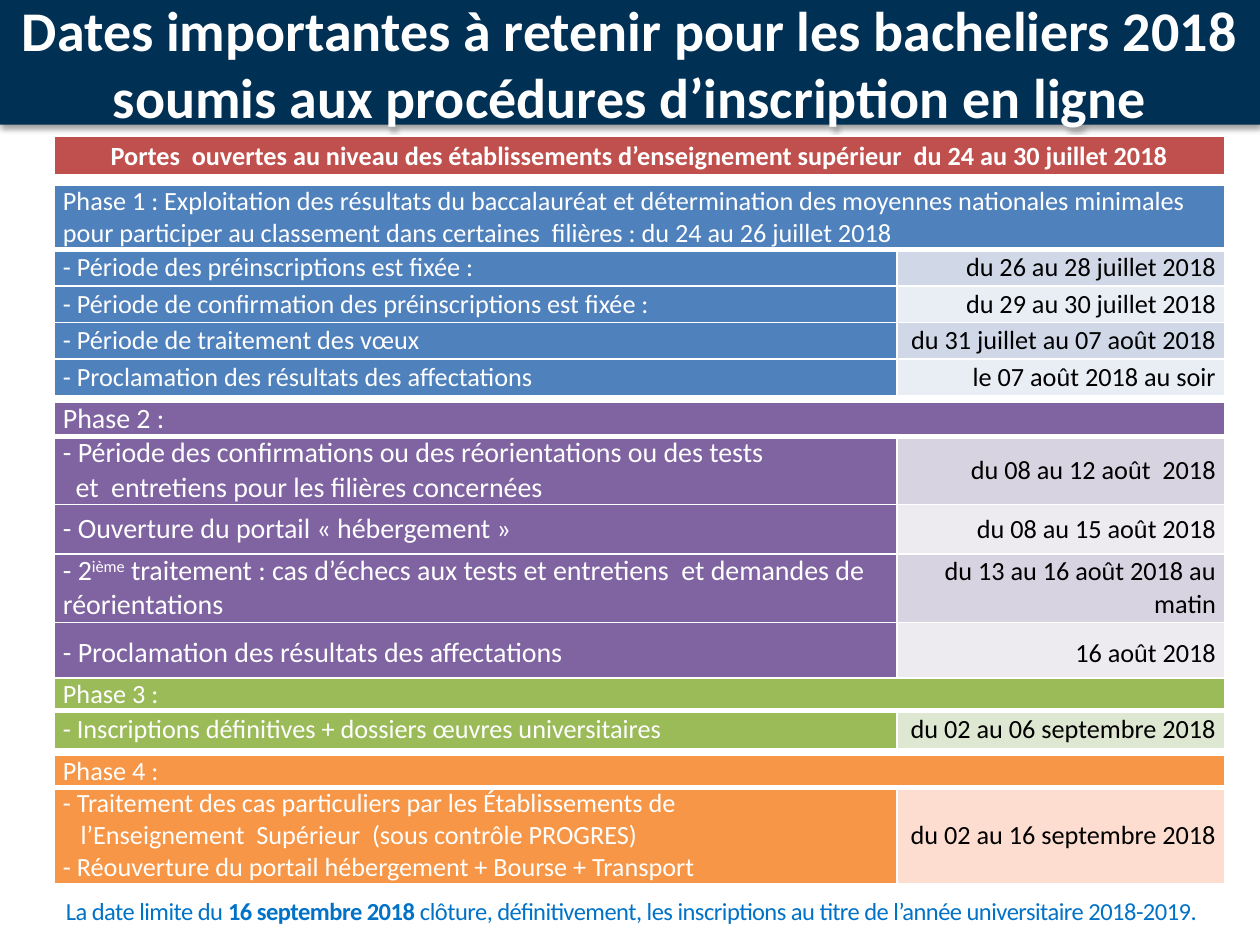
from dataclasses import dataclass

from lxml import etree
from pptx import Presentation
from pptx.dml.color import RGBColor
from pptx.enum.shapes import MSO_SHAPE
from pptx.enum.text import MSO_ANCHOR, PP_ALIGN
from pptx.oxml.ns import qn
from pptx.util import Inches, Pt

RECT = MSO_SHAPE.RECTANGLE
MID = MSO_ANCHOR.MIDDLE
LEFT, CENTER, RIGHT = PP_ALIGN.LEFT, PP_ALIGN.CENTER, PP_ALIGN.RIGHT
FONT, WHITE, BLACK, BLUE = "Calibri", "FFFFFF", "000000", "0072C8"
EDGE, WIDE, DATE = 0.43, 6.69, 2.6


@dataclass
class Row:
    high: float
    lines: list[str]
    date: str = ""
    indent: float = 0  # left margin of the second line


@dataclass
class Phase:
    top: float
    color: str
    tints: tuple[str, ...]
    size: int
    rows: list[Row]


PHASES = [
    Phase(1.47, "4F81BD", ("D0D8E8", "E9EDF4"), 15, [
        Row(0.46, ["Phase 1 : Exploitation des résultats du baccalauréat et détermination "
                   "des moyennes nationales minimales pour participer au classement dans "
                   "certaines  filières : du 24 au 26 juillet 2018"]),
        Row(0.29, ["- Période des préinscriptions est fixée :"], "du 26 au 28 juillet 2018"),
        Row(0.29, ["- Période de confirmation des préinscriptions est fixée :"],
            "du 29 au 30 juillet 2018"),
        Row(0.29, ["- Période de traitement des vœux"], "du 31 juillet au 07 août 2018"),
        Row(0.29, ["- Proclamation des résultats des affectations"],
            "le 07 août 2018 au soir"),
    ]),
    Phase(3.19, "8064A2", ("D8D3E0", "EDEAF0"), 16, [
        Row(0.26, ["Phase 2 :"]),
        Row(0.53, ["- Période des confirmations ou des réorientations ou des tests",
                   "et  entretiens pour les filières concernées"],
            "du 08 au 12 août  2018", 0.1),
        Row(0.39, ["- Ouverture du portail « hébergement »"], "du 08 au 15 août 2018"),
        Row(0.53, ["- 2^ième^ traitement : cas d’échecs aux tests et entretiens  et "
                   "demandes de réorientations"], "du 13 au 16 août 2018 au matin"),
        Row(0.49, ["- Proclamation des résultats des affectations"], "16 août 2018"),
    ]),
    Phase(5.38, "9BBB59", ("DEE7D1",), 15, [
        Row(0.26, ["Phase 3 :"]),
        Row(0.3, ["- Inscriptions définitives + dossiers œuvres universitaires"],
            "du 02 au 06 septembre 2018"),
    ]),
    Phase(5.99, "F79646", ("FCDDCF",), 15, [
        Row(0.26, ["Phase 4 :"]),
        Row(0.75, ["- Traitement des cas particuliers par les Établissements de",
                   "l’Enseignement  Supérieur  (sous contrôle PROGRES)",
                   "- Réouverture du portail hébergement + Bourse + Transport"],
            "du 02 au 16 septembre 2018", 0.14),
    ]),
]


def rgb(code: str) -> RGBColor:
    return RGBColor.from_string(code)


def write(frame, lines: list[str], size: int, color: str, align=LEFT,
          bold: bool = False, indent: float = 0) -> list:
    """Fill a frame and return the runs that stand between ^ marks."""
    marked = []
    frame.text = "\n".join(line.split("^")[0] for line in lines)
    for i, (para, line) in enumerate(zip(frame.paragraphs, lines)):
        para.alignment = align
        if i == 1 and indent:
            para._p.get_or_add_pPr().set("marL", str(Inches(indent)))
        for part in line.split("^")[1:]:
            para.add_run().text = part
        for run in para.runs:
            run.font.name, run.font.size = FONT, Pt(size)
            run.font.bold, run.font.color.rgb = bold, rgb(color)
        marked += para.runs[1::2]
    return marked


def paint(cell, fill: str, top: int = 1, base: int = 1) -> None:
    """Set fill, margins and white borders of a cell."""
    cell.fill.solid()
    cell.fill.fore_color.rgb = rgb(fill)
    cell.vertical_anchor = MID
    cell.margin_left = cell.margin_right = Inches(0.07)
    cell.margin_top = cell.margin_bottom = 0
    props = cell._tc.get_or_add_tcPr()
    for i, (side, width) in enumerate(zip("LRTB", (1, 1, top, base))):
        line = etree.Element(qn(f"a:ln{side}"), w=str(Pt(width)))
        solid = etree.SubElement(line, qn("a:solidFill"))
        etree.SubElement(solid, qn("a:srgbClr"), val=WHITE)
        props.insert(i, line)


def grid(slide, top: float, cols: list[float], highs: list[float]):
    """Add a plain table with the given widths and heights."""
    table = slide.shapes.add_table(
        len(highs), len(cols), Inches(EDGE), Inches(top),
        Inches(sum(cols)), Inches(sum(highs))).table
    table.first_row = table.horz_banding = False
    for col, width in zip(table.columns, cols):
        col.width = Inches(width)
    for row, high in zip(table.rows, highs):
        row.height = Inches(high)
    return table


def draw(slide, phase: Phase) -> None:
    table = grid(slide, phase.top, [WIDE, DATE], [row.high for row in phase.rows])
    table.cell(0, 0).merge(table.cell(0, 1))
    for i, row in enumerate(phase.rows):
        tint = phase.tints[(i - 1) % len(phase.tints)] if i else phase.color
        top, base = 3 if i == 1 else 1, 1 if i else 3
        name, date = table.cell(i, 0), table.cell(i, 1)
        paint(name, phase.color, top, base)
        paint(date, tint, top, base)
        for run in write(name.text_frame, row.lines, phase.size, WHITE,
                         indent=row.indent):
            run.font._element.set("baseline", "30000")
        if row.date:
            write(date.text_frame, [row.date], 15, BLACK, RIGHT)


def shade(shape) -> None:
    """Give a shape a soft shadow below it."""
    shape.shadow.inherit = False
    effects = shape._element.spPr.find(qn("a:effectLst"))
    outer = etree.SubElement(effects, qn("a:outerShdw"), blurRad=str(Pt(3.1)),
                             dist=str(Pt(1.6)), dir="5400000", rotWithShape="0")
    tone = etree.SubElement(outer, qn("a:srgbClr"), val=BLACK)
    etree.SubElement(tone, qn("a:alpha"), val="38000")


def main() -> None:
    deck = Presentation()
    deck.slide_width, deck.slide_height = Inches(10), Inches(7.5)
    slide = deck.slides.add_slide(deck.slide_layouts[6])

    # Title band
    band = slide.shapes.add_shape(RECT, 0, 0, Inches(10), Inches(0.99))
    band.fill.solid()
    band.fill.fore_color.rgb = rgb("003054")
    band.line.fill.background()
    shade(band)
    band.text_frame.word_wrap = True
    band.text_frame.vertical_anchor = MID
    write(band.text_frame, ["Dates importantes à retenir pour les bacheliers 2018 "
                            "soumis aux procédures d’inscription en ligne"],
          32, WHITE, CENTER, True)

    # Open days
    cell = grid(slide, 1.08, [WIDE + DATE], [0.32]).cell(0, 0)
    paint(cell, "C0504D", base=3)
    write(cell.text_frame, ["Portes  ouvertes au niveau des établissements "
                            "d’enseignement supérieur  du 24 au 30 juillet 2018"],
          15, WHITE, CENTER, True)

    # Phases
    for phase in PHASES:
        draw(slide, phase)

    # Deadline
    note = slide.shapes.add_textbox(Inches(0.13), Inches(7.06), Inches(9.76), Inches(0.34))
    frame = note.text_frame
    frame.word_wrap = True
    for run in write(frame, ["La date limite du ^16 septembre 2018 ^clôture, définitivement, "
                             "les inscriptions au titre de l’année universitaire 2018-2019."],
                     14, BLUE, CENTER):
        run.font.bold = True
    for run in frame.paragraphs[0].runs:
        run.font._element.set("spc", "-30")

    deck.save("out.pptx")


if __name__ == "__main__":
    main()
